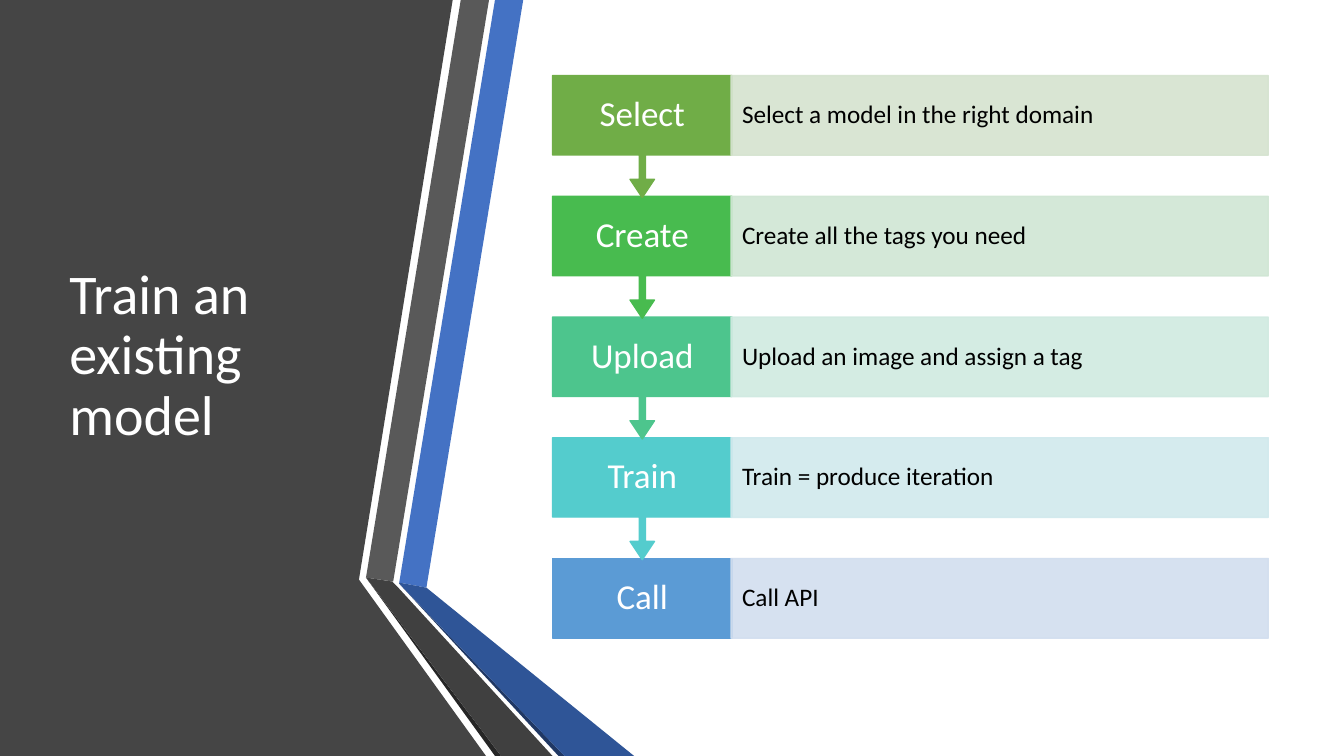
from lxml.etree import SubElement
from pptx import Presentation
from pptx.dml.color import RGBColor
from pptx.enum.shapes import MSO_SHAPE
from pptx.enum.text import MSO_ANCHOR, PP_ALIGN
from pptx.oxml.ns import qn
from pptx.util import Inches, Pt

COLORS = {
    "panel": "454545", "blue": "4472C4", "gray": "595959",
    "gray_edge": "262626", "blue_edge": "203864",
    "blue_fold": "2F5597", "gray_fold": "404040",
    "white": "FFFFFF", "black": "000000",
    "select": "70AD47", "select_tint": "D5E3CF",
    "create": "48BB4F", "create_tint": "D0E6D4",
    "upload": "4DC58D", "upload_tint": "D0EAE1",
    "train": "54CCCD", "train_tint": "D1E9ED",
    "call": "5B9BD5", "call_tint": "D2DEEF",
}

RIBBONS = [
    ("panel", [(0, 0), (4.49, 0), (3.56, 5.75), (4.82, 7.5), (0, 7.5)]),
    ("blue", [(3.96, 5.78), (4.23, 5.83), (5.19, 0), (4.91, 0)]),
    ("gray", [(4.85, 0), (4.57, 0), (3.63, 5.73), (3.9, 5.77)]),
    ("gray_edge", [(3.63, 5.73), (4.91, 7.5), (4.97, 7.5)]),
    ("blue_edge", [(3.96, 5.79), (5.54, 7.5), (5.6, 7.5)]),
    ("blue_fold", [(3.96, 5.79), (5.6, 7.5), (6.29, 7.5), (4.23, 5.83), (3.96, 5.78)]),
    ("gray_fold", [(5.48, 7.5), (3.95, 5.83), (3.89, 5.77), (3.63, 5.73), (4.97, 7.5)]),
]

STEPS = [
    ("Select", "Select a model in the right domain"),
    ("Create", "Create all the tags you need"),
    ("Upload", "Upload an image and assign a tag"),
    ("Train", "Train = produce iteration"),
    ("Call", "Call API"),
]
FIRST_TOP, LAST_TOP = 0.75, 5.54
PITCH = (LAST_TOP - FIRST_TOP) / (len(STEPS) - 1)
STEP_LEFT, STEP_WIDTH = 5.48, 1.78
DETAIL_LEFT, DETAIL_WIDTH = 7.25, 5.33
BAR_HEIGHT, CALLOUT_HEIGHT = 0.79, 1.21


class SlidePainter:
    font = "Calibri"
    line_spacing = 0.9

    def __init__(self, slide):
        self.shapes = slide.shapes

    def color(self, name):
        return RGBColor.from_string(COLORS[name])

    def paint(self, shape, color, outlined=True, opacity=100):
        shape.shadow.inherit = False
        shape.fill.solid()
        shape.fill.fore_color.rgb = self.color(color)
        if outlined:
            shape.line.width = Pt(1)
            shape.line.color.rgb = self.color(color)
        else:
            shape.line.fill.background()
        if opacity < 100:
            for rgb in shape.element.spPr.iter(qn("a:srgbClr")):
                SubElement(rgb, qn("a:alpha"), val=str(opacity * 1000))

    def polygon(self, points, color):
        corners = [(Inches(x), Inches(y)) for x, y in points]
        builder = self.shapes.build_freeform(*corners[0])
        builder.add_line_segments(corners[1:], close=True)
        self.paint(builder.convert_to_shape(), color, outlined=False)

    def bar(self, left, top, width, color, opacity=100):
        bar = self.shapes.add_shape(
            MSO_SHAPE.RECTANGLE, Inches(left), Inches(top), Inches(width), Inches(BAR_HEIGHT))
        self.paint(bar, color, opacity=opacity)

    def callout(self, left, top, width, color):
        """Bar with an arrow that points down to the next step."""
        callout = self.shapes.add_shape(
            MSO_SHAPE.UP_ARROW_CALLOUT, Inches(left), Inches(top),
            Inches(width), Inches(CALLOUT_HEIGHT))
        callout.rotation = 180
        for index, value in enumerate((0.05, 0.1, 0.15, 0.65)):
            callout.adjustments[index] = value
        self.paint(callout, color)

    def text(self, words, box, size, color, margins=(0.1, 0.05), align=PP_ALIGN.LEFT):
        frame = self.shapes.add_textbox(*map(Inches, box)).text_frame
        frame.word_wrap = True
        frame.vertical_anchor = MSO_ANCHOR.MIDDLE
        frame.margin_left = frame.margin_right = Inches(margins[0])
        frame.margin_top = frame.margin_bottom = Inches(margins[1])
        frame.text = words
        paragraph = frame.paragraphs[0]
        paragraph.alignment = align
        paragraph.line_spacing = self.line_spacing
        font = paragraph.runs[0].font
        font.name = self.font
        font.size = Pt(size)
        font.color.rgb = self.color(color)

    def step(self, top, name, detail, is_last):
        color = name.lower()
        draw = self.bar if is_last else self.callout
        draw(STEP_LEFT, top, STEP_WIDTH, color)
        self.text(name, (STEP_LEFT, top, STEP_WIDTH, BAR_HEIGHT), 25, "white",
                  (0.13, 0.19), PP_ALIGN.CENTER)
        self.bar(DETAIL_LEFT, top, DETAIL_WIDTH, f"{color}_tint", opacity=90)
        self.text(detail, (DETAIL_LEFT, top, DETAIL_WIDTH, BAR_HEIGHT), 18, "black",
                  (0.11, 0.25))


def main():
    deck = Presentation()
    deck.slide_width, deck.slide_height = Inches(13.33), Inches(7.5)
    painter = SlidePainter(deck.slides.add_slide(deck.slide_layouts[6]))

    for color, points in RIBBONS:
        painter.polygon(points, color)
    painter.text("Train an existing model", (0.59, 0.75, 3.04, 5.58), 40, "white")

    # Bottom step first, so each arrow tip lies over the bar below it
    last = len(STEPS) - 1
    for index in range(last, -1, -1):
        painter.step(FIRST_TOP + index * PITCH, *STEPS[index], is_last=index == last)

    deck.save("out.pptx")


if __name__ == "__main__":
    main()
